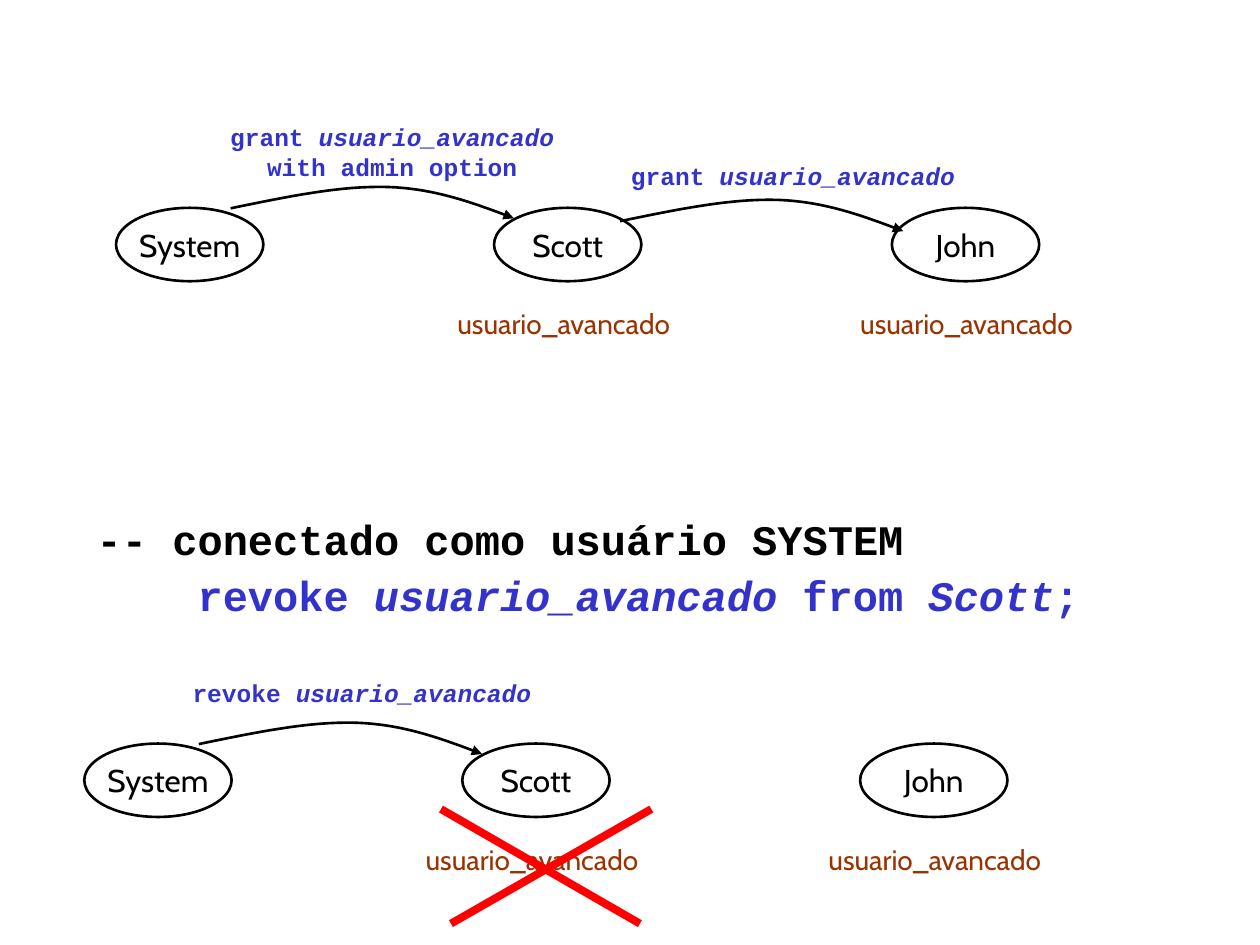
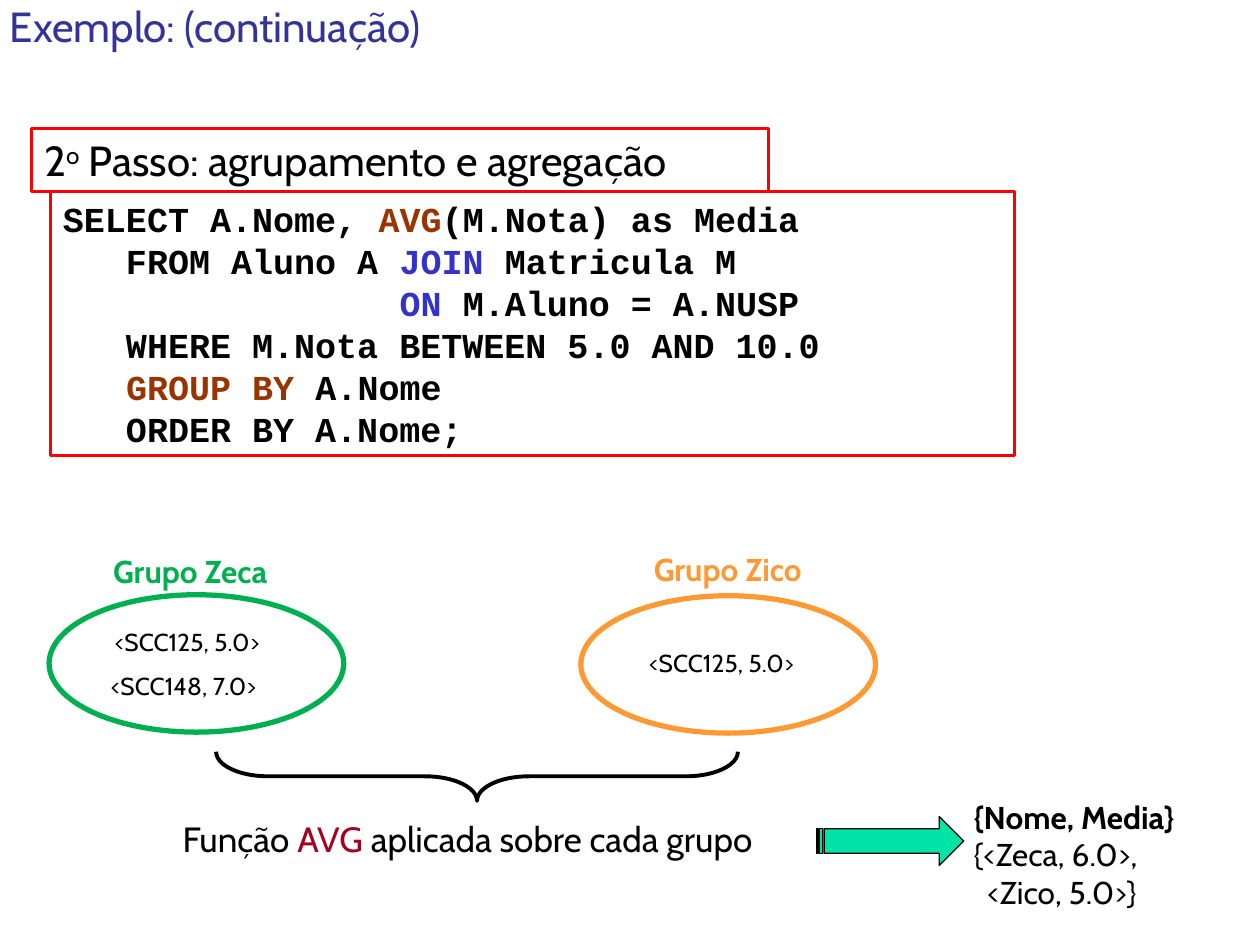
import lxml.etree
import pptx
import pptx.dml.color
import pptx.enum.shapes
import pptx.enum.text
import pptx.oxml.ns
import pptx.util

Cm = pptx.util.Cm
Pt = pptx.util.Pt
RGB = pptx.dml.color.RGBColor.from_string
SHAPE = pptx.enum.shapes.MSO_SHAPE
ALIGN = pptx.enum.text.PP_ALIGN
ANCHOR = pptx.enum.text.MSO_ANCHOR
qn = pptx.oxml.ns.qn

COLOURS = {
    "black": "000000",
    "title": "333399",
    "keyword": "3333CC",
    "role": "993300",
    "function": "A50021",
    "red": "FF0000",
    "zeca": "00B050",
    "zico": "FF9933",
    "result": "00E4A8",
}
SANS = "Cabin"
MONO = "Courier New"


def write(shape, paragraphs, size, font=SANS, colour="black", bold=False,
          align=ALIGN.LEFT, anchor=ANCHOR.TOP, insets=(0.25, 0.13), wrap=True):
    frame = shape.text_frame
    frame.auto_size = pptx.enum.text.MSO_AUTO_SIZE.NONE
    frame.word_wrap = wrap
    frame.vertical_anchor = anchor
    frame.margin_left = frame.margin_right = Cm(insets[0])
    frame.margin_top = frame.margin_bottom = Cm(insets[1])
    for number, runs in enumerate(paragraphs):
        paragraph = frame.add_paragraph() if number else frame.paragraphs[0]
        paragraph.alignment = align
        if shape.is_placeholder:
            properties = paragraph._p.get_or_add_pPr()
            properties.set("marL", "0")
            properties.set("indent", "0")
            lxml.etree.SubElement(properties, qn("a:buNone"))
        paragraph.font.size = Pt(size)
        paragraph.font.name = font
        paragraph.font.bold = bold
        paragraph.font.color.rgb = RGB(COLOURS[colour])
        for text, style in runs:
            run = paragraph.add_run()
            run.text = text
            if style == "italic":
                run.font.italic = True
            elif style == "superscript":
                run.font._element.set("baseline", "30000")
            elif style:
                run.font.color.rgb = RGB(COLOURS[style])
    return frame.paragraphs


def outline(shape, colour, width, fill=None):
    shape.shadow.inherit = False
    shape.line.color.rgb = RGB(COLOURS[colour])
    shape.line.width = Pt(width)
    if fill:
        shape.fill.solid()
        shape.fill.fore_color.rgb = RGB(COLOURS[fill])
    else:
        shape.fill.background()


deck = pptx.Presentation()
deck.slide_width = Cm(25.4)
deck.slide_height = Cm(19.05)

revoke_slide = deck.slides.add_slide(deck.slide_layouts[1])
shapes = revoke_slide.shapes
empty_title = shapes.title._element
empty_title.getparent().remove(empty_title)

statement = revoke_slide.placeholders[1]
statement.left, statement.top = Cm(1.7), Cm(10.34)
statement.width, statement.height = Cm(22.86), Cm(2.6)
statement_lines = write(statement, [
    [("-- conectado como usuário SYSTEM", None)],
    [("    revoke ", "keyword"), ("usuario_avancado", "italic"),
     (" from ", "keyword"), ("Scott", "italic"), (";", "keyword")],
], 24, MONO, bold=True)
for line in statement_lines:
    line.line_spacing = 0.9
    line.space_before = Pt(0)
statement_lines[1].space_before = Pt(6)
statement_lines[1].font.color.rgb = RGB(COLOURS["keyword"])

USERS = [("System", 2.34), ("Scott", 9.96), ("John", 17.98)]
ROLE_LEFTS = [8.97, 17.09]
ARC = [(0, 0.46), (1.11, 0.23), (2.22, 0), (3.17, 0.03),
       (4.13, 0.06), (4.92, 0.36), (5.71, 0.66)]
STEPS = 16
arc_points = [ARC[0]]
for first in (0, 3):
    for step in range(1, STEPS + 1):
        t = step / STEPS
        weights = [(1 - t) ** 3, 3 * t * (1 - t) ** 2, 3 * t * t * (1 - t), t ** 3]
        arc_points.append(tuple(
            sum(w * point[axis] for w, point in zip(weights, ARC[first:first + 4]))
            for axis in (0, 1)))

for dx, dy, arc_origins in [
    (0, 0, [(4.65, 3.74), (12.5, 4)]),
    (-0.64, 10.8, [(4.65, 3.74)]),
]:
    for user, left in USERS:
        oval = shapes.add_shape(SHAPE.OVAL, Cm(left + dx), Cm(4.19 + dy), Cm(2.97), Cm(1.48))
        outline(oval, "black", 1.5)
        write(oval, [[(user, None)]], 18, align=ALIGN.CENTER,
              anchor=ANCHOR.MIDDLE, insets=(0, 0), wrap=False)
    for left in ROLE_LEFTS:
        role = shapes.add_textbox(Cm(left + dx), Cm(6.05 + dy), Cm(5.28), Cm(0.94))
        write(role, [[("usuario_avancado", None)]], 16, colour="role")
    for left, top in arc_origins:
        points = [(Cm(left + dx + x), Cm(top + dy + y)) for x, y in arc_points]
        builder = shapes.build_freeform(*points[0])
        builder.add_line_segments(points[1:], close=False)
        arc = builder.convert_to_shape()
        outline(arc, "black", 1.5)
        lxml.etree.SubElement(arc.line._get_or_add_ln(), qn("a:tailEnd"), type="triangle")

for command, option, left, top, width, height, align in [
    ("grant ", "with admin option", 4.06, 2.34, 7.7, 1.45, ALIGN.CENTER),
    ("grant ", None, 12.47, 3.12, 7.6, 0.86, ALIGN.LEFT),
    ("revoke ", None, 3.37, 13.54, 7.86, 0.86, ALIGN.CENTER),
]:
    label_lines = [[(command, None), ("usuario_avancado", "italic")]]
    if option:
        label_lines.append([(option, None)])
    label = shapes.add_textbox(Cm(left), Cm(top), Cm(width), Cm(height))
    write(label, label_lines, 14, MONO, "keyword", bold=True, align=align)

for start, end in [(8.89, 12.9), (13.13, 9.09)]:
    stroke = shapes.add_connector(pptx.enum.shapes.MSO_CONNECTOR.STRAIGHT,
                                  Cm(start), Cm(16.31), Cm(end), Cm(18.62))
    stroke.line.color.rgb = RGB(COLOURS["red"])
    stroke.line.width = Pt(4.5)
    lxml.etree.SubElement(stroke._element.spPr, qn("a:effectLst"))

group_slide = deck.slides.add_slide(deck.slide_layouts[5])
shapes = group_slide.shapes
heading = shapes.title
heading.left, heading.top, heading.width, heading.height = Cm(0.2), Cm(0), Cm(11.5), Cm(1.02)
write(heading, [[("Exemplo: (continuação)", None)]], 24, colour="title",
      anchor=ANCHOR.BOTTOM, insets=(0, 0))

query = shapes.add_shape(SHAPE.RECTANGLE, Cm(1.02), Cm(3.86), Cm(19.43), Cm(5.33))
outline(query, "red", 1.5)
write(query, [
    [("SELECT A.Nome, ", None), ("AVG", "role"), ("(M.Nota) as Media", None)],
    [("   FROM Aluno A ", None), ("JOIN", "keyword"), (" Matricula M", None)],
    [("                ", None), ("ON", "keyword"), (" M.Aluno = A.NUSP", None)],
    [("   WHERE M.Nota BETWEEN 5.0 AND 10.0", None)],
    [("   ", None), ("GROUP BY", "role"), (" A.Nome", None)],
    [("   ORDER BY A.Nome;", None)],
], 20, MONO, bold=True)

step_box = shapes.add_shape(SHAPE.RECTANGLE, Cm(0.64), Cm(2.59), Cm(14.86), Cm(1.27))
outline(step_box, "red", 1.5)
write(step_box, [[("2", None), ("o", "superscript"),
                  (" Passo: agrupamento e agregação", None)]], 24)

for name, colour, oval_at, name_at, members in [
    ("Grupo Zeca", "zeca", (0.99, 11.99), (2.03, 11),
     [("<SCC125, 5.0>", 2.06, 12.52), ("<SCC148, 7.0>", 1.98, 13.39)]),
    ("Grupo Zico", "zico", (11.71, 12.01), (12.93, 10.95),
     [("<SCC125, 5.0>", 12.83, 12.93)]),
]:
    oval = shapes.add_shape(SHAPE.OVAL, Cm(oval_at[0]), Cm(oval_at[1]), Cm(5.94), Cm(2.77))
    outline(oval, colour, 3)
    group_name = shapes.add_textbox(Cm(name_at[0]), Cm(name_at[1]), Cm(4.09), Cm(1.02))
    write(group_name, [[(name, None)]], 18, colour=colour, bold=True)
    for text, left, top in members:
        member = shapes.add_textbox(Cm(left), Cm(top), Cm(4), Cm(0.86))
        write(member, [[(text, None)]], 14)

brace = shapes.add_shape(SHAPE.RIGHT_BRACE, Cm(9.12), Cm(10.39), Cm(0.99), Cm(10.52))
brace.rotation = 90
brace.adjustments[0] = 1.06
outline(brace, "black", 2.25)

explanation = shapes.add_textbox(Cm(3.43), Cm(16.36), Cm(13.46), Cm(1.12))
write(explanation, [[("Função ", None), ("AVG", "function"),
                     (" aplicada sobre cada grupo", None)]], 20)

arrow = shapes.add_shape(SHAPE.STRIPED_RIGHT_ARROW, Cm(16.46), Cm(16.46), Cm(2.97), Cm(0.99))
outline(arrow, "black", 0.75, "result")

averages = shapes.add_textbox(Cm(19.63), Cm(16.08), Cm(5.16), Cm(2.29))
average_lines = write(averages, [
    [("{Nome, Media}", None)],
    [("{<Zeca, 6.0>,", None)],
    [("<Zico, 5.0>}", None)],
], 18, insets=(0, 0))
average_lines[0].font.bold = True
average_lines[2]._p.get_or_add_pPr().set("marL", str(Cm(0.27)))

deck.save("out.pptx")
